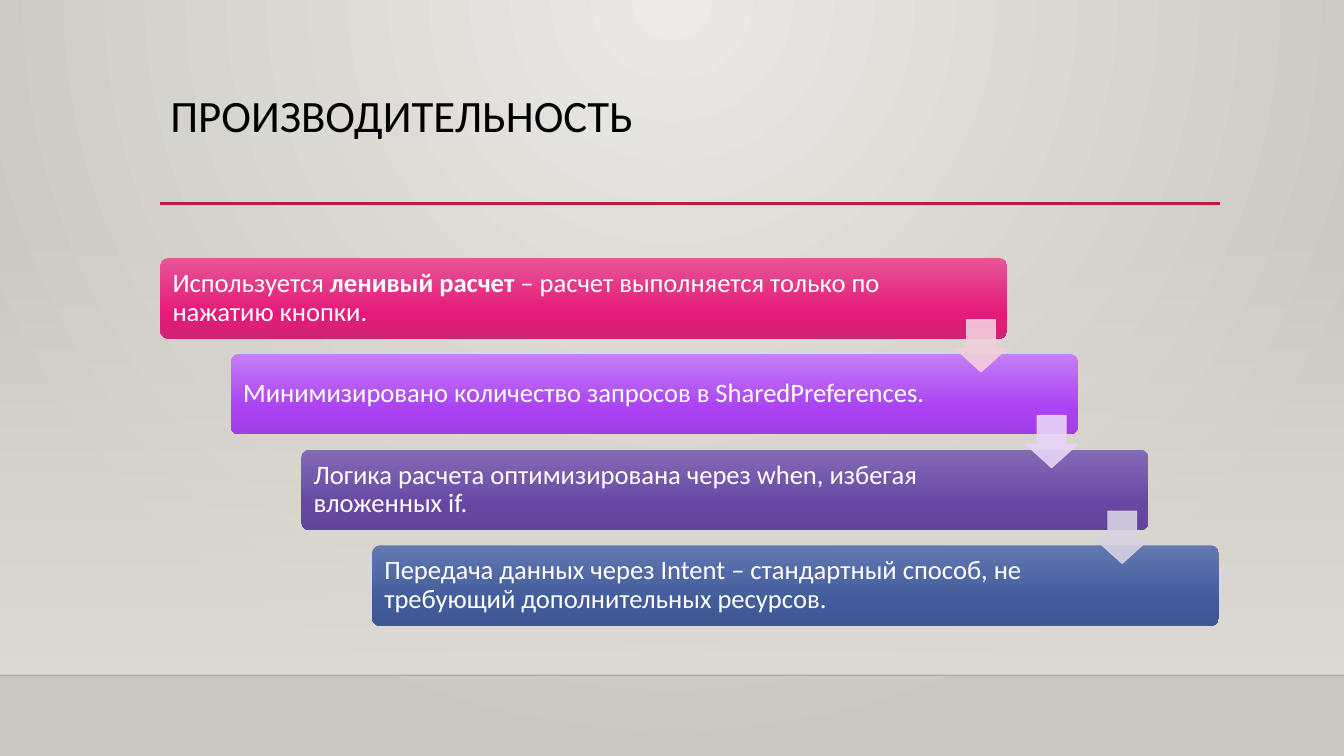
from lxml.etree import SubElement
from pptx import Presentation
from pptx.dml.color import RGBColor
from pptx.enum.shapes import MSO_CONNECTOR, MSO_SHAPE
from pptx.enum.text import MSO_ANCHOR, PP_ALIGN
from pptx.oxml.ns import qn
from pptx.util import Inches, Pt


def rgb(value):
    return RGBColor.from_string(value)


def set_alpha(fill_element, percent):
    SubElement(fill_element.find(qn("a:srgbClr")), qn("a:alpha"), val=str(percent * 1000))


def gradient(solid, stops):
    grad = solid.makeelement(qn("a:gradFill"), {"rotWithShape": "1"})
    stop_list = SubElement(grad, qn("a:gsLst"))
    for position, color, opacity in stops:
        stop = SubElement(stop_list, qn("a:gs"), pos=str(position * 1000))
        SubElement(stop, qn("a:srgbClr"), val=color)
        if opacity < 100:
            set_alpha(stop, opacity)
    solid.getparent().replace(solid, grad)
    return grad


class Deck:
    """Slide builder with the shared text style."""

    font = "Calibri"

    def __init__(self, prs):
        self.s = prs.slides.add_slide(prs.slide_layouts[5])

    def background(self, inner, outer):
        self.s.background.fill.solid()
        self.s.background.fill.fore_color.rgb = rgb(inner)
        solid = self.s.element.find(".//" + qn("p:bgPr")).find(qn("a:solidFill"))
        grad = gradient(solid, [(0, inner, 100), (100, outer, 100)])
        circle = SubElement(grad, qn("a:path"), {"path": "circle"})
        SubElement(circle, qn("a:fillToRect"), l="43000", t="0", r="43000", b="100000")

    def shape(self, kind, x, y, w, h, color, adjustments=()):
        sp = self.s.shapes.add_shape(kind, Inches(x), Inches(y), Inches(w), Inches(h))
        sp.shadow.inherit = False
        sp.fill.solid()
        sp.fill.fore_color.rgb = rgb(color)
        sp.line.fill.background()
        for i, value in enumerate(adjustments):
            sp.adjustments[i] = value
        return sp

    def gradient_shape(self, kind, x, y, w, h, stops, adjustments=()):
        sp = self.shape(kind, x, y, w, h, stops[0][1], adjustments)
        grad = gradient(sp.element.spPr.find(qn("a:solidFill")), stops)
        SubElement(grad, qn("a:lin"), ang="5400000", scaled="0")
        return sp

    def line(self, x1, x2, y, color, width, opacity=100):
        cx = self.s.shapes.add_connector(
            MSO_CONNECTOR.STRAIGHT, Inches(x1), Inches(y), Inches(x2), Inches(y))
        cx.line.color.rgb = rgb(color)
        cx.line.width = Pt(width)
        if opacity < 100:
            set_alpha(cx.element.spPr.find(qn("a:ln")).find(qn("a:solidFill")), opacity)
        SubElement(cx.element.spPr, qn("a:effectLst"))

    def add_text(self, tf, runs, size, color, anchor):
        tf.word_wrap = True
        tf.vertical_anchor = anchor
        p = tf.paragraphs[0]
        p.alignment = PP_ALIGN.LEFT
        p.line_spacing = 0.9
        for text, bold in runs:
            r = p.add_run()
            r.text = text
            r.font.name = self.font
            r.font.size = Pt(size)
            r.font.bold = bold
            r.font.color.rgb = rgb(color)

    def title(self, text, x, y, w, h):
        sp = self.s.shapes.title
        sp.left, sp.top, sp.width, sp.height = Inches(x), Inches(y), Inches(w), Inches(h)
        self.add_text(sp.text_frame, [(text, False)], 32, "000000", MSO_ANCHOR.TOP)
        sp.element.getparent().append(sp.element)

    def bar(self, x, y, colors, runs):
        stops = [(position, color, 100) for position, color in zip((0, 69, 100), colors)]
        sp = self.gradient_shape(MSO_SHAPE.ROUNDED_RECTANGLE, x, y, 8.4, 0.8, stops, [0.1])
        tf = sp.text_frame
        tf.margin_left, tf.margin_right = Inches(0.1), Inches(1.2)
        tf.margin_top = tf.margin_bottom = Inches(0.08)
        self.add_text(tf, runs, 19, "FFFFFF", MSO_ANCHOR.MIDDLE)

    def arrow(self, x, y, color):
        sp = self.shape(MSO_SHAPE.DOWN_ARROW, x, y, 0.52, 0.52, color, [0.55, 0.45])
        sp.line.color.rgb = rgb(color)
        sp.line.width = Pt(0.75)
        for parent in (sp.element.spPr, sp.element.spPr.find(qn("a:ln"))):
            set_alpha(parent.find(qn("a:solidFill")), 90)


BARS = [
    (("E75597", "E51A79", "CF2374"),
     [("Используется ", False), ("ленивый расчет", True),
      (" – расчет выполняется только по нажатию кнопки.", False)]),
    (("C57FF7", "AA41F3", "A13FE5"),
     [("Минимизировано количество запросов в SharedPreferences.", False)]),
    (("836AB8", "6648A3", "60459A"),
     [("Логика расчета оптимизирована через when, избегая вложенных if.", False)]),
    (("6378B0", "425B9B", "3F5793"),
     [("Передача данных через Intent – стандартный способ, "
       "не требующий дополнительных ресурсов.", False)]),
]
ARROWS = ["F2CFDB", "E7D5F9", "D7D2E3"]
STEP_X, STEP_Y = 0.7, 0.95


def main():
    prs = Presentation()
    prs.slide_width, prs.slide_height = Inches(13.33), Inches(7.5)
    deck = Deck(prs)
    deck.background("ECEAE7", "CAC7C1")
    deck.gradient_shape(MSO_SHAPE.RECTANGLE, 0, 2.21, 13.33, 4.49,
                        [(0, "DFDBD5", 0), (100, "DFDBD5", 100)])
    deck.line(0, 13.33, 6.7, "000001", 1, 20)
    deck.line(1.59, 12.1, 2.02, "B71E42", 2.5)
    deck.title("ПРОИЗВОДИТЕЛЬНОСТЬ", 1.59, 0.88, 10.5, 1.15)
    for i, (colors, runs) in enumerate(BARS):
        deck.bar(1.59 + i * STEP_X, 2.56 + i * STEP_Y, colors, runs)
    for i, color in enumerate(ARROWS):
        deck.arrow(9.47 + i * STEP_X, 3.17 + i * STEP_Y, color)
    prs.save("out.pptx")


if __name__ == "__main__":
    main()
